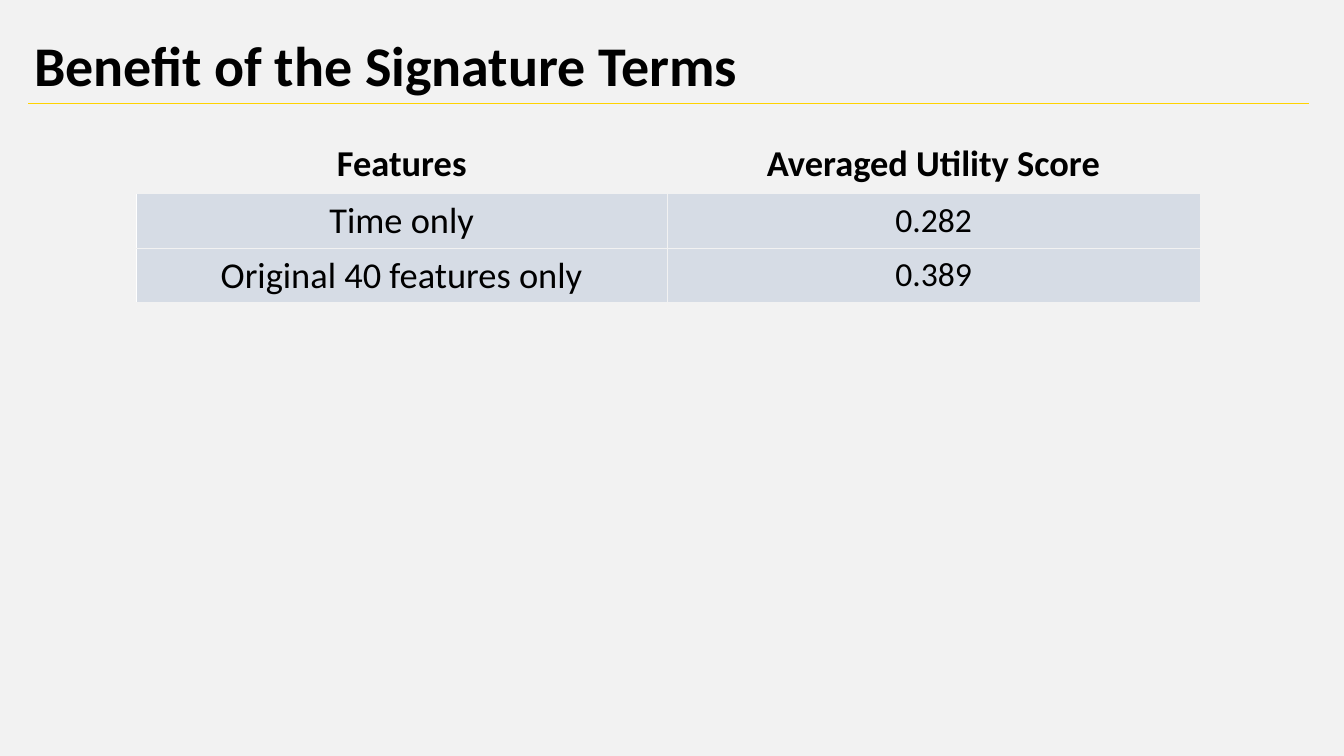
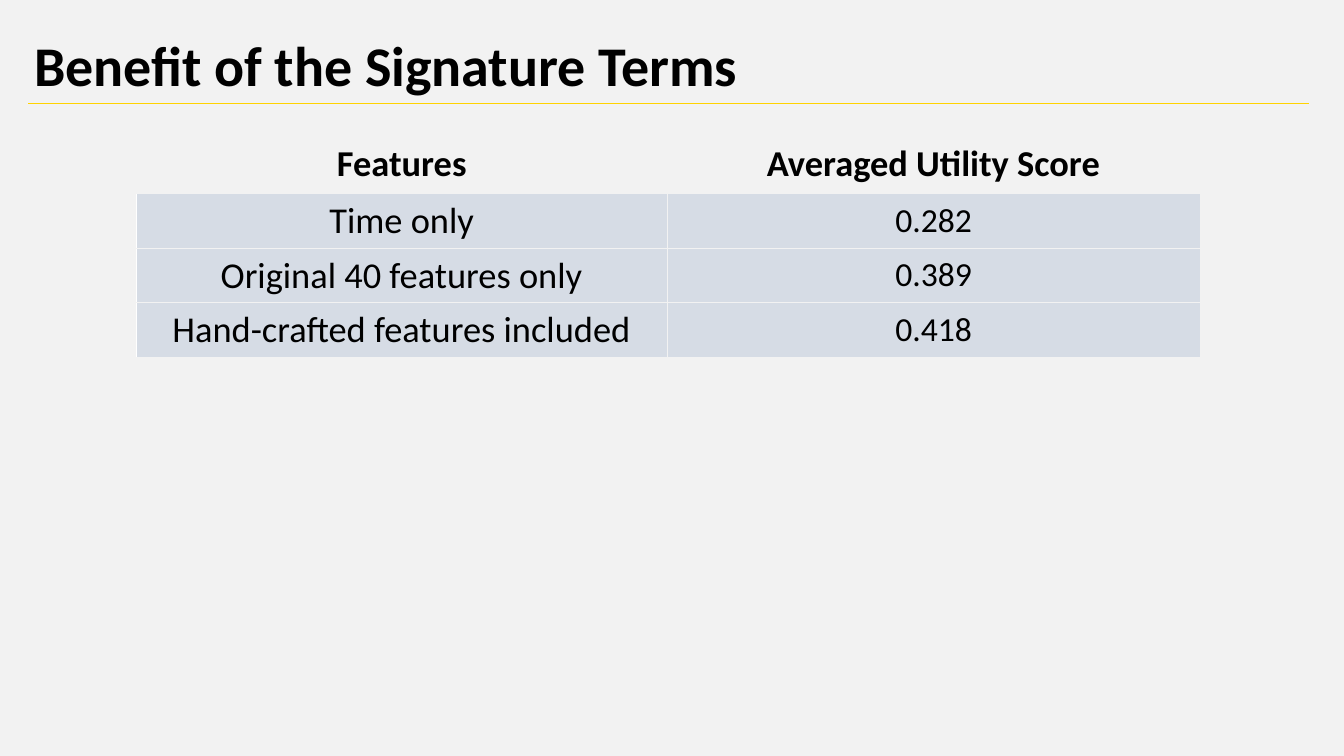
from dataclasses import dataclass
from typing import NamedTuple

from lxml.etree import SubElement
from pptx import Presentation
from pptx.dml.color import RGBColor as Rgb
from pptx.enum.shapes import MSO_CONNECTOR as Link
from pptx.enum.text import MSO_ANCHOR as Anchor, MSO_AUTO_SIZE as Fit, PP_ALIGN as Align
from pptx.oxml.ns import qn
from pptx.slide import Slide
from pptx.table import _Cell as Cell
from pptx.text.text import _Paragraph as Para
from pptx.util import Inches, Pt


@dataclass(frozen=True)
class Theme:
    font: str = "Calibri"
    ink: str = "000000"
    paper: str = "F2F2F2"
    rule: str = "FFD300"
    band: str = "D6DCE5"
    edge: str = "FFFFFF"
    title: int = 40
    label: int = 26
    score: int = 24
    plain: str = "{2D5ABB26-0587-4C30-8999-92F81FD0307C}"


class Row(NamedTuple):
    label: str
    score: str


THEME = Theme()
TITLE = "Benefit of the Signature Terms"
HEAD = Row("Features", "Averaged Utility Score")
ROWS = [
    Row("Time only", "0.282"),
    Row("Original 40 features only", "0.389"),
    Row("Hand-crafted features included", "0.418"),
]
WIDTHS = (5.27, 5.28)
HEAD_H, ROW_H = 0.58, 0.54


def style(para: Para, size: int, bold: bool, align: Align) -> None:
    para.alignment = align
    font = para.font
    font.name, font.size, font.bold = THEME.font, Pt(size), bold
    font.color.rgb = Rgb.from_string(THEME.ink)


def add_title(slide: Slide, text: str) -> None:
    title = slide.shapes.title
    title.left, title.top = Inches(0.24), Inches(0.18)
    title.width, title.height = Inches(12.78), Inches(0.99)
    frame = title.text_frame
    frame.text = text
    frame.word_wrap, frame.auto_size = True, Fit.NONE
    frame.vertical_anchor = Anchor.MIDDLE
    para = frame.paragraphs[0]
    para.line_spacing = 0.9
    style(para, THEME.title, True, Align.LEFT)


def add_rule(slide: Slide) -> None:
    y = Inches(1.03)
    rule = slide.shapes.add_connector(Link.STRAIGHT, Inches(0.28), y, Inches(12.98), y)
    rule.line.color.rgb = Rgb.from_string(THEME.rule)
    rule.line.width = Pt(0.5)
    SubElement(rule._element.spPr, qn("a:effectLst"))


def add_edge(cell: Cell, side: str, color: str) -> None:
    props = cell._tc.get_or_add_tcPr()
    line = SubElement(props, qn(f"a:ln{side}"), w=str(Pt(1)))
    fill = SubElement(line, qn("a:solidFill"))
    SubElement(fill, qn("a:srgbClr"), val=color)


def fill_cell(cell: Cell, text: str, size: int, bold: bool) -> None:
    cell.text = text
    cell.vertical_anchor = Anchor.MIDDLE
    style(cell.text_frame.paragraphs[0], size, bold, Align.CENTER)


def shade(cell: Cell, first_col: bool, first_row: bool) -> None:
    add_edge(cell, "L", THEME.edge if first_col else THEME.paper)
    if first_col:
        add_edge(cell, "R", THEME.paper)
    if not first_row:
        add_edge(cell, "T", THEME.paper)
    add_edge(cell, "B", THEME.paper)
    cell.fill.solid()
    cell.fill.fore_color.rgb = Rgb.from_string(THEME.band)


def add_scores(slide: Slide, rows: list[Row]) -> None:
    high = HEAD_H + ROW_H * len(rows)
    table = slide.shapes.add_table(
        len(rows) + 1, len(WIDTHS), Inches(1.35), Inches(1.34),
        Inches(sum(WIDTHS)), Inches(high),
    ).table
    table.first_row = table.horz_banding = False
    table._tbl.tblPr.find(qn("a:tableStyleId")).text = THEME.plain
    for col, wide in zip(table.columns, WIDTHS):
        col.width = Inches(wide)
    for r, row in enumerate([HEAD, *rows]):
        table.rows[r].height = Inches(ROW_H if r else HEAD_H)
        for c, text in enumerate(row):
            cell = table.cell(r, c)
            size = THEME.score if r and c else THEME.label
            fill_cell(cell, text, size, r == 0)
            if r:
                shade(cell, c == 0, r == 1)


def main() -> None:
    deck = Presentation()
    deck.slide_width, deck.slide_height = Inches(13.33), Inches(7.5)
    back = deck.slide_master.background.fill
    back.solid()
    back.fore_color.rgb = Rgb.from_string(THEME.paper)
    for count in (2, 3):
        slide = deck.slides.add_slide(deck.slide_layouts.get_by_name("Title Only"))
        add_rule(slide)
        add_title(slide, TITLE)
        add_scores(slide, ROWS[:count])
    deck.save("out.pptx")


if __name__ == "__main__":
    main()
